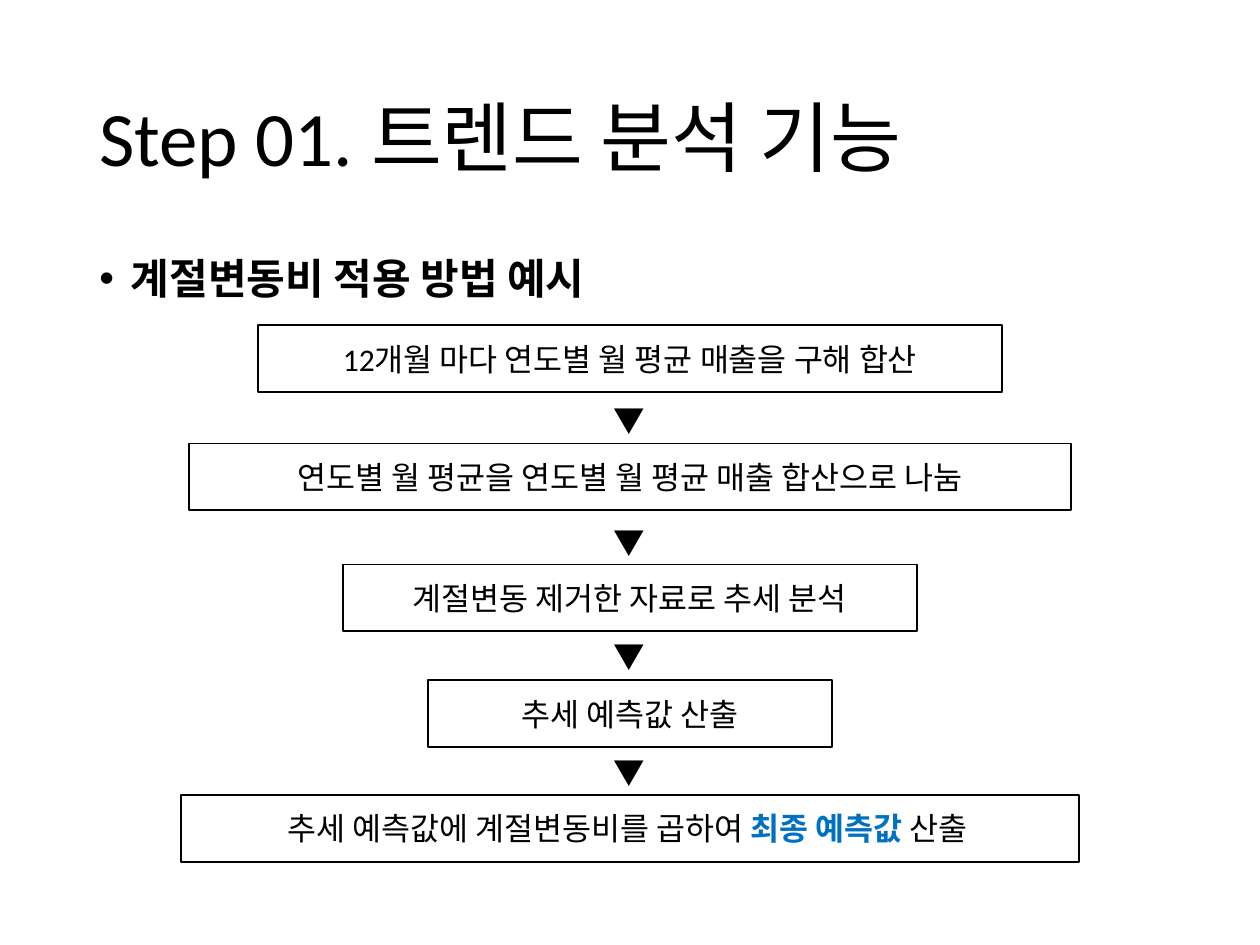
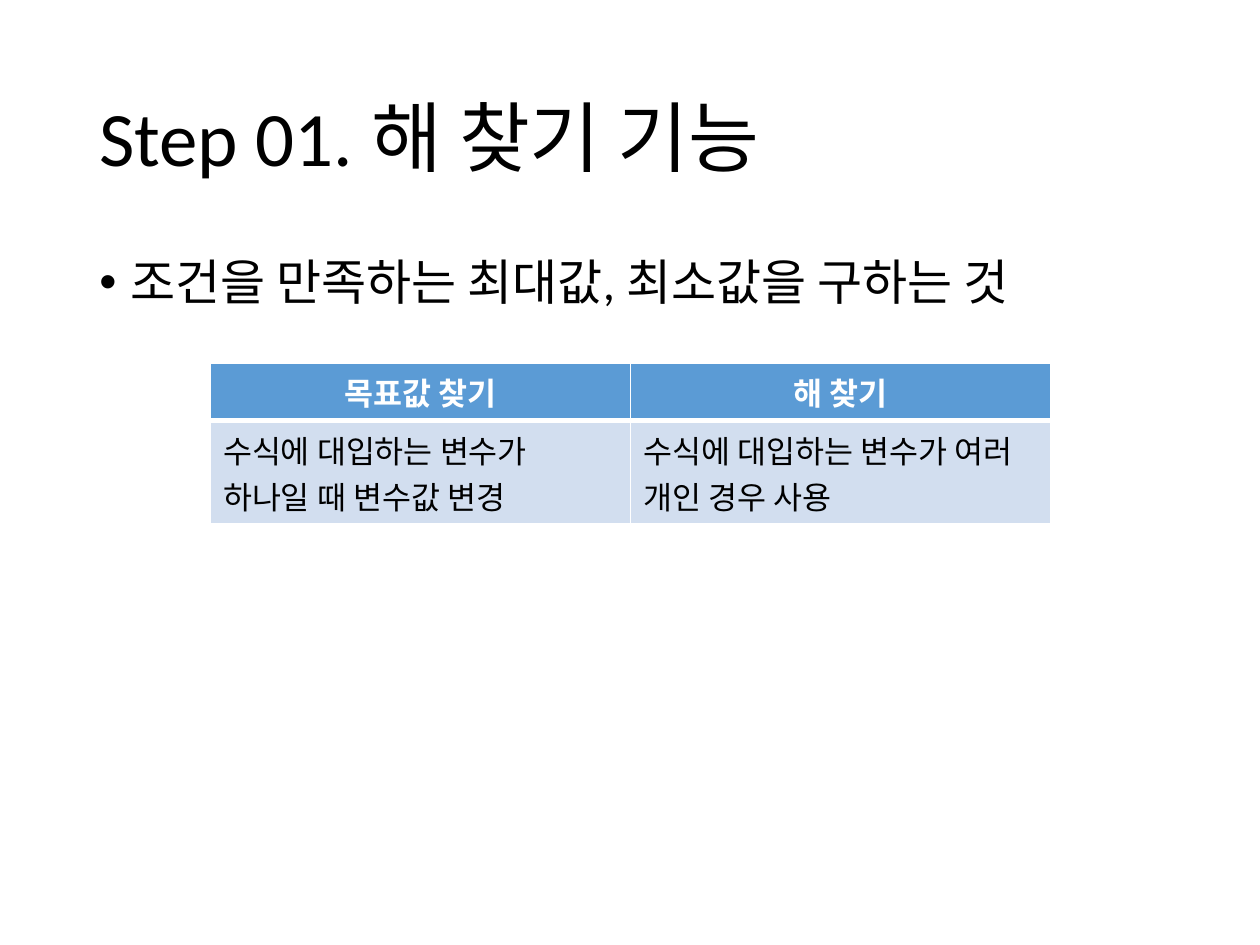
from lxml import etree
from pptx import Presentation
from pptx.dml.color import RGBColor
from pptx.enum.shapes import MSO_SHAPE
from pptx.enum.text import MSO_ANCHOR, PP_ALIGN
from pptx.oxml.ns import qn
from pptx.util import Inches, Pt

RECTANGLE = MSO_SHAPE.RECTANGLE
MIDDLE = MSO_ANCHOR.MIDDLE
LEFT, CENTER = PP_ALIGN.LEFT, PP_ALIGN.CENTER

COLORS = {
    "text": "000000",
    "paper": "FFFFFF",
    "accent": "0070C0",
    "header": "5B9BD5",
    "body": "D2DEEF",
}
FONT = "Calibri"
SYMBOL_FONT = "Noto Sans CJK KR"
SLIDE_W = 10
TITLE_BOX = (0.69, 0.4, 8.62, 1.45)
STEP_H = 0.53

# Each step: top, width, text runs with their formats, left indent (None = centred)
STEPS = [
    (2.58, 5.91, [("12개월 마다 연도별 월 평균 매출을 구해 합산", {})], None),
    (3.52, 7, [("연도별 월 평균을 연도별 월 평균 매출 합산으로 나눔", {})], None),
    (4.48, 4.56, [("계절변동 제거한 자료로 추세 분석", {})], None),
    (5.4, 3.21, [("추세 예측값 산출", {})], None),
    (6.31, 7.13, [("추세 예측값에 계절변동비를 곱하여 ", {}),
                  ("최종 예측값 ", {"color": "accent", "bold": True}),
                  ("산출", {})], 0.75),
]
ARROW_TOPS = [3.13, 4.1, 5.01, 5.93]
COMPARISON = [
    ["목표값 찾기", "해 찾기"],
    ["수식에 대입하는 변수가 하나일 때 변수값 변경",
     "수식에 대입하는 변수가 여러 개인 경우 사용"],
]
ROW_HEIGHTS = (0.46, 0.82)


def rgb(name):
    return RGBColor.from_string(COLORS[name])


def add_run(p, text, size=18, color="text", bold=False, name=FONT):
    r = p.add_run()
    r.text = text
    formats = {"size": Pt(size), "bold": bold, "name": name}
    for key, value in formats.items():
        setattr(r.font, key, value)
    r.font.color.rgb = rgb(color)


def set_indent(p, left, first=0):
    pPr = p._p.get_or_add_pPr()
    pPr.set("marL", str(Inches(left)))
    pPr.set("indent", str(Inches(first)))
    return pPr


def add_text(slide, box, wrap=True):
    """Add a text box and return its text frame."""
    tf = slide.shapes.add_textbox(*map(Inches, box)).text_frame
    tf.word_wrap = wrap
    return tf


def add_title(slide, text):
    tf = add_text(slide, TITLE_BOX)
    tf.vertical_anchor = MIDDLE
    p = tf.paragraphs[0]
    p.line_spacing = 0.9
    add_run(p, text, 44)


def add_bullet(slide, box, text, size, bold=False):
    p = add_text(slide, box).paragraphs[0]
    p.line_spacing = 0.9
    pPr = set_indent(p, 0.25, -0.25)
    etree.SubElement(pPr, qn("a:buFont")).set("typeface", "Arial")
    etree.SubElement(pPr, qn("a:buChar")).set("char", "•")
    add_run(p, text, size, bold=bold)


def add_step(slide, top, width, runs, indent):
    """Add one outlined step, centred across the slide."""
    box = ((SLIDE_W - width) / 2, top, width, STEP_H)
    sp = slide.shapes.add_shape(RECTANGLE, *map(Inches, box))
    sp.shadow.inherit = False
    sp.fill.solid()
    sp.fill.fore_color.rgb = rgb("paper")
    sp.line.color.rgb = rgb("text")
    sp.line.width = Pt(1)
    tf = sp.text_frame
    tf.word_wrap = True
    tf.vertical_anchor = MIDDLE
    p = tf.paragraphs[0]
    p.alignment = CENTER if indent is None else LEFT
    if indent is not None:
        set_indent(p, indent)
    for text, formats in runs:
        add_run(p, text, **formats)


def add_flow(slide):
    for step in STEPS:
        add_step(slide, *step)
    for top in ARROW_TOPS:
        tf = add_text(slide, (4.77, top, 0.45, 0.4), wrap=False)
        add_run(tf.paragraphs[0], "▼", name=SYMBOL_FONT)


def set_borders(cell, widths):
    """Draw white borders, given their points by side, ahead of the cell's fill."""
    tcPr = cell._tc.get_or_add_tcPr()
    for i, (side, width) in enumerate(widths.items()):
        ln = etree.Element(qn("a:ln" + side), w=str(Pt(width)))
        fill = etree.SubElement(ln, qn("a:solidFill"))
        etree.SubElement(fill, qn("a:srgbClr")).set("val", COLORS["paper"])
        tcPr.insert(i, ln)


def add_comparison(slide, left, top, width, rows):
    box = (left, top, width, sum(ROW_HEIGHTS))
    sp = slide.shapes.add_table(len(rows), len(rows[0]), *map(Inches, box))
    table = sp.table
    for row, height in zip(table.rows, ROW_HEIGHTS):
        row.height = Inches(height)
    for i, texts in enumerate(rows):
        header = i == 0
        for j, text in enumerate(texts):
            cell = table.cell(i, j)
            cell.fill.solid()
            cell.fill.fore_color.rgb = rgb("header" if header else "body")
            set_borders(cell, {"L": 1, "R": 1, "T": 1 if header else 3,
                               "B": 3 if header else 1})
            p = cell.text_frame.paragraphs[0]
            p.alignment = CENTER if header else LEFT
            add_run(p, text, color="paper" if header else "text", bold=header)


def add_trend_slide(prs):
    slide = prs.slides.add_slide(prs.slide_layouts[6])
    add_title(slide, "Step 01. 트렌드 분석 기능")
    add_bullet(slide, (0.69, 2, 8.62, 0.58), "계절변동비 적용 방법 예시", 24, True)
    add_flow(slide)


def add_solver_slide(prs):
    slide = prs.slides.add_slide(prs.slide_layouts[6])
    add_title(slide, "Step 01. 해 찾기 기능")
    add_bullet(slide, (0.69, 2, 8.62, 4.76),
               "조건을 만족하는 최대값, 최소값을 구하는 것", 28)
    add_comparison(slide, 1.67, 2.88, 6.67, COMPARISON)


def main():
    prs = Presentation()
    prs.slide_width, prs.slide_height = Inches(SLIDE_W), Inches(7.5)
    add_trend_slide(prs)
    add_solver_slide(prs)
    prs.save("out.pptx")


if __name__ == "__main__":
    main()
